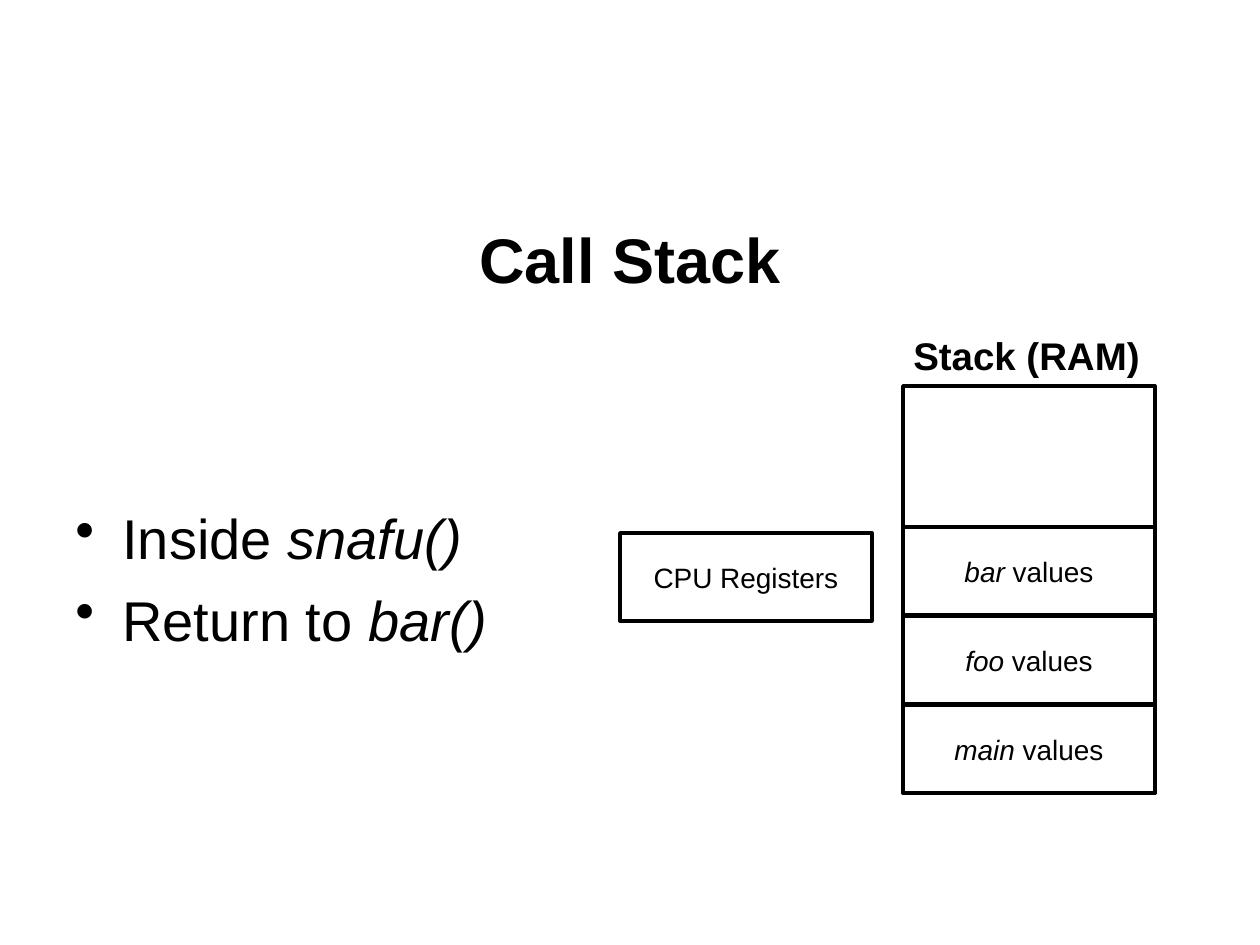
import lxml.etree
import pptx
import pptx.dml.color
import pptx.enum.shapes
import pptx.enum.text
import pptx.oxml.ns
import pptx.util

EMU_PER_PX = 914400 / 126
COLORS = {"ink": "000000", "paper": "FFFFFF"}
ALIGN = pptx.enum.text.PP_ALIGN
ANCHOR = pptx.enum.text.MSO_ANCHOR

STACK_X, STACK_Y, STACK_W, STACK_H = 903, 386, 252, 407
FRAME_H, FRAME_STEP = 88, 89
FRAMES = ["*main* values", "*foo* values", "*bar* values"]


def px(*lengths):
    return [pptx.util.Emu(round(n * EMU_PER_PX)) for n in lengths]


def rgb(name):
    return pptx.dml.color.RGBColor.from_string(COLORS[name])


def add_bullet(p, indent):
    pPr = p._p.get_or_add_pPr()
    margin = px(indent)[0]
    pPr.set("marL", str(margin))
    pPr.set("indent", str(-margin))
    tag = pptx.oxml.ns.qn("a:buChar")
    lxml.etree.SubElement(pPr, tag).set("char", "•")


def write(tf, *lines, size=16, bold=False, align=ALIGN.CENTER,
          anchor=ANCHOR.MIDDLE, wrap=True, bullet_indent=0, space_before=0):
    """Fill a text frame with one paragraph per line; *stars* mark italics."""
    tf.word_wrap = wrap
    tf.vertical_anchor = anchor
    for i, line in enumerate(lines):
        p = tf.add_paragraph() if i else tf.paragraphs[0]
        p.alignment = align
        p.space_before = pptx.util.Pt(space_before)
        if bullet_indent:
            add_bullet(p, bullet_indent)
        for j, part in enumerate(line.split("*")):
            if part:
                r = p.add_run()
                r.text = part
                r.font.name = "Arial"
                r.font.size = pptx.util.Pt(size)
                r.font.bold = bold
                r.font.italic = j % 2 == 1
                r.font.color.rgb = rgb("ink")


def add_text(s, box, *lines, **style):
    write(s.shapes.add_textbox(*px(*box)).text_frame, *lines, **style)


def add_box(s, box, text=""):
    sp = s.shapes.add_shape(pptx.enum.shapes.MSO_SHAPE.RECTANGLE, *px(*box))
    sp.shadow.inherit = False
    sp.fill.solid()
    sp.fill.fore_color.rgb = rgb("paper")
    sp.line.color.rgb = rgb("ink")
    sp.line.width = pptx.util.Pt(2)
    write(sp.text_frame, text)


def add_stack(s):
    """Draw the stack with its frames piled up from the bottom."""
    add_box(s, (STACK_X, STACK_Y, STACK_W, STACK_H))
    add_text(s, (901, 326, 254, 59), "Stack (RAM)", size=22, bold=True,
             align=ALIGN.LEFT, anchor=ANCHOR.TOP, wrap=False)
    bottom_frame_y = STACK_Y + STACK_H - FRAME_H
    for i, text in enumerate(FRAMES):
        y = bottom_frame_y - i * FRAME_STEP
        add_box(s, (STACK_X, y, STACK_W, FRAME_H), text)


def main():
    prs = pptx.Presentation()
    prs.slide_width, prs.slide_height = px(1260, 945)
    s = prs.slides.add_slide(prs.slide_layouts[6])
    add_text(s, (63, 179, 1134, 158), "Call Stack", size=36, bold=True)
    add_text(s, (63, 347, 525, 462), "Inside *snafu()*", "Return to *bar()*",
             size=32, align=ALIGN.LEFT, bullet_indent=47, space_before=8)
    add_box(s, (620, 533, STACK_W, FRAME_H), "CPU Registers")
    add_stack(s)
    prs.save("out.pptx")


if __name__ == "__main__":
    main()
